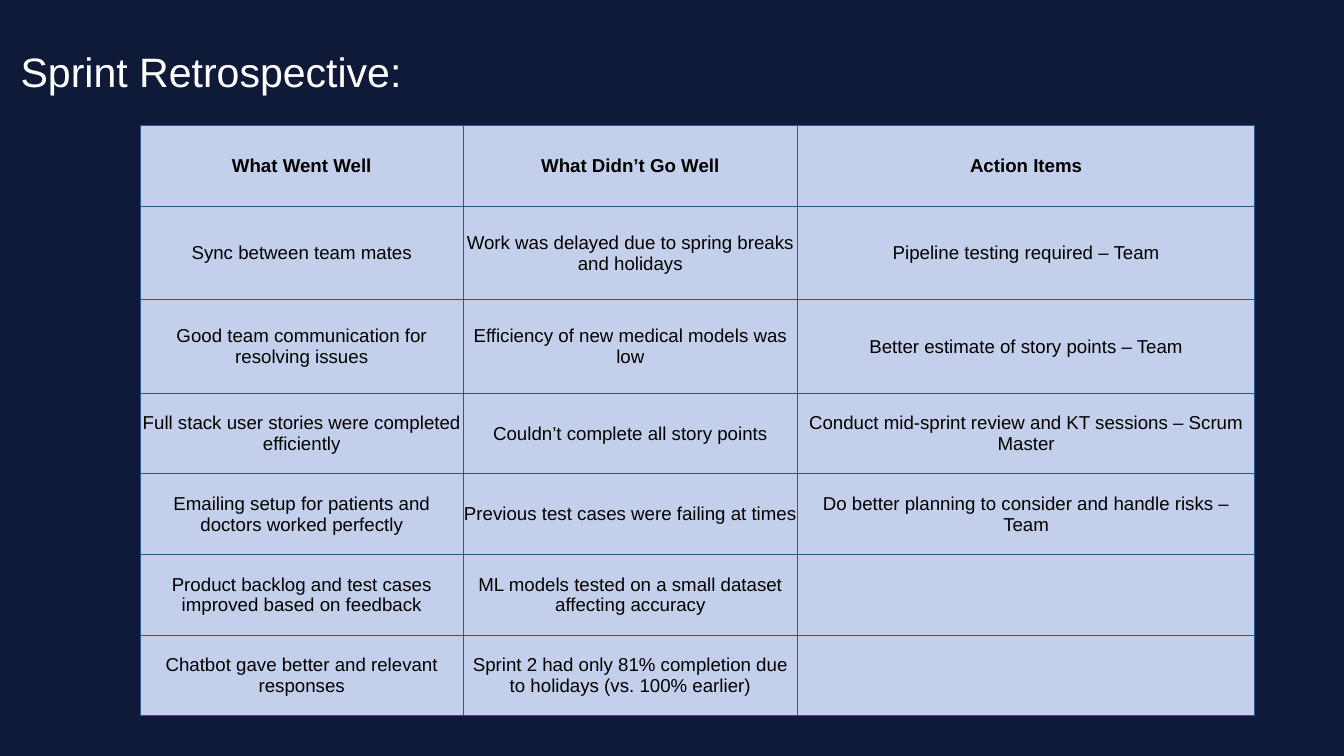
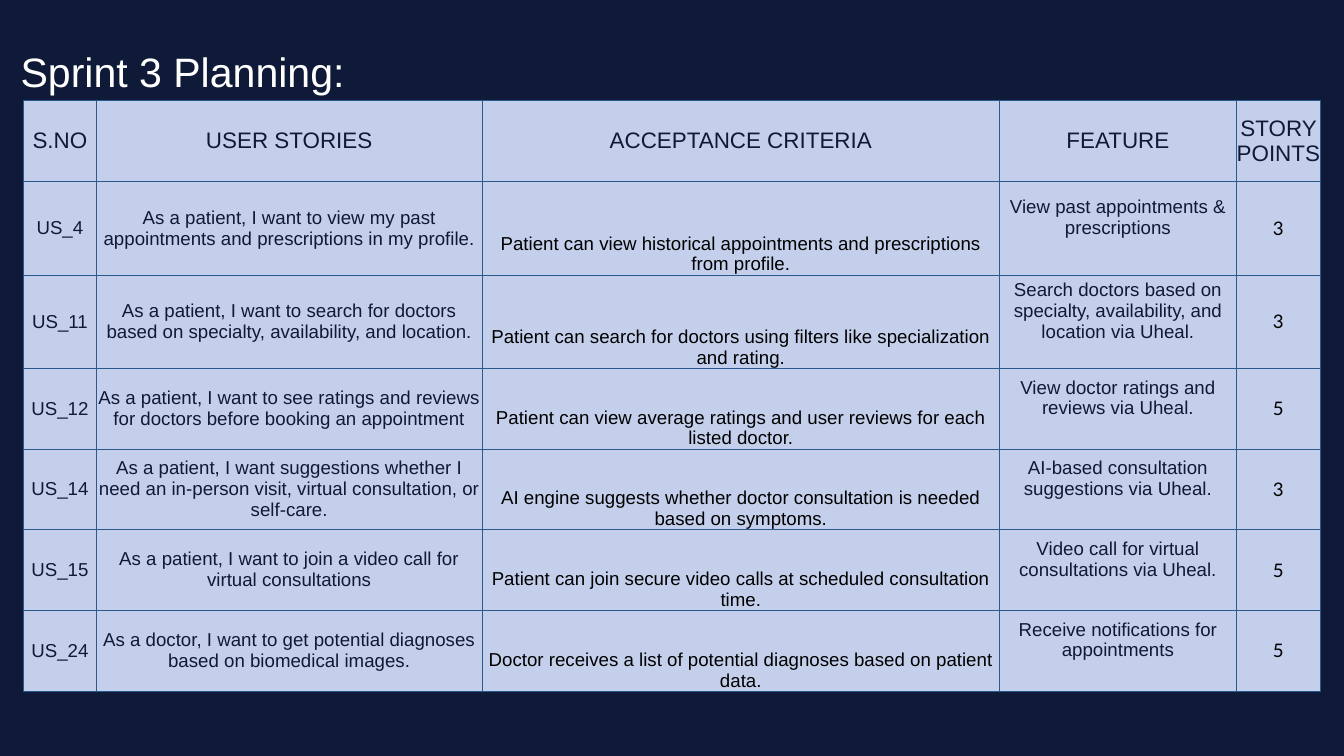
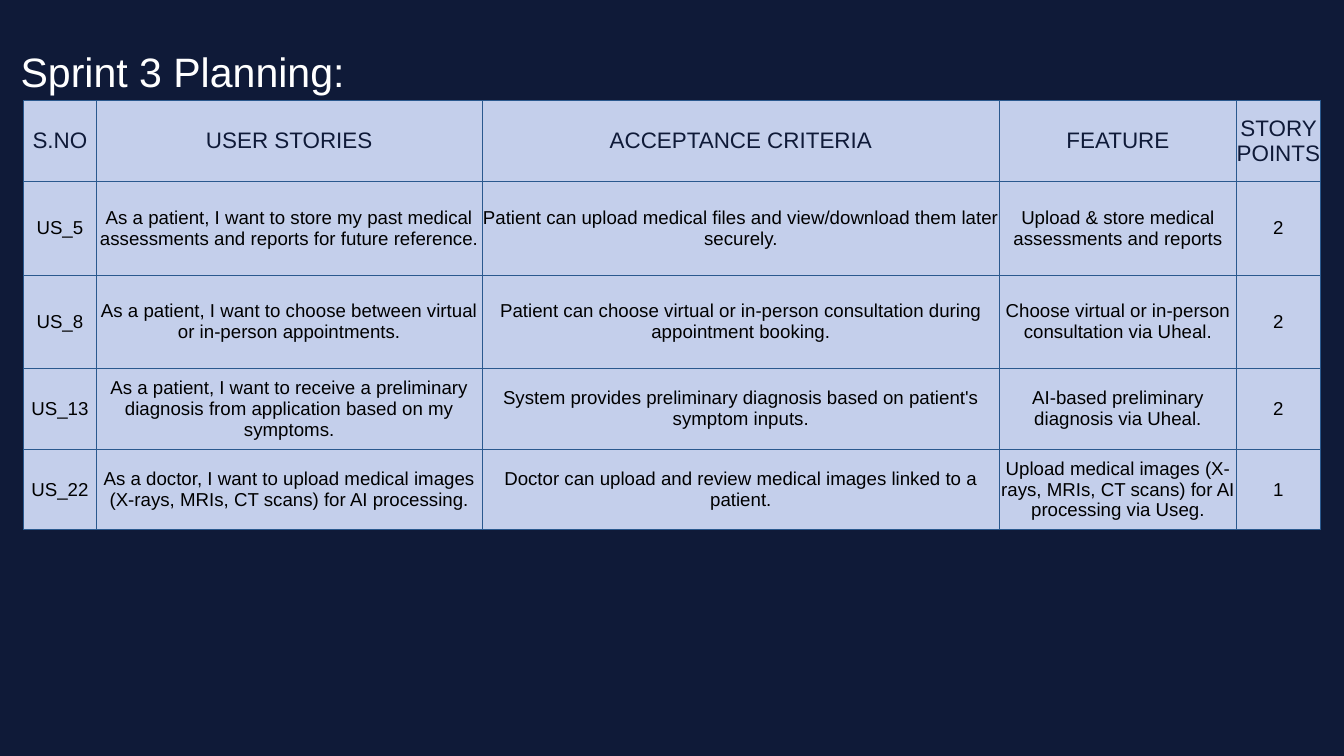
from lxml import etree
from pptx import Presentation
from pptx.dml.color import RGBColor
from pptx.enum.text import MSO_ANCHOR as Anchor, PP_ALIGN as Align
from pptx.oxml.ns import qn
from pptx.util import Cm, Pt

COLORS = {
    "background": "0F1A38",
    "title": "FFFFFF",
    "cell": "C4CFEB",
    "border": "2A598E",
    "navy": "0F1A38",
    "black": "000000",
}
FONT = "Arial"
HEADER_HEIGHT, TALL_ROW, SHORT_ROW = 3.05, 3.53, 3.05
BORDER_SIDES = ("a:lnL", "a:lnR", "a:lnT", "a:lnB")
FEATURE_BOTTOM_MARGIN = 0.8


def add_run(paragraph, text, size, color, bold=False, font=FONT):
    run = paragraph.add_run()
    run.text = text
    run.font.name = font
    run.font.size = Pt(size)
    run.font.bold = bold
    run.font.color.rgb = RGBColor.from_string(COLORS[color])


def style_cell(cell, margin):
    cell.margin_left = cell.margin_right = cell.margin_top = Cm(margin)
    cell.margin_bottom = Cm(0)
    cell.vertical_anchor = Anchor.MIDDLE
    properties = cell._tc.get_or_add_tcPr()
    for side in BORDER_SIDES:
        line = etree.SubElement(properties, qn(side), w=str(Pt(0.75)))
        fill = etree.SubElement(line, qn("a:solidFill"))
        etree.SubElement(fill, qn("a:srgbClr"), val=COLORS["border"])
    cell.fill.solid()
    cell.fill.fore_color.rgb = RGBColor.from_string(COLORS["cell"])


retrospective = {
    "title": "Sprint Retrospective:",
    "left": 5.31,
    "top": 4.75,
    "widths": [12.19, 12.65, 17.27],
    "header": ["What Went Well", "What Didn’t Go Well", "Action Items"],
    "header_style": {"size": 20, "color": "black", "bold": True},
    "header_margin": 0.02,
    "body_margin": 0.02,
    "body_colors": ["black"] * 3,
    "rows": [
        ["Sync between team mates",
         "Work was delayed due to spring breaks and holidays",
         "Pipeline testing required – Team"],
        ["Good team communication for resolving issues",
         "Efficiency of new medical models was low",
         "Better estimate of story points – Team"],
        ["Full stack user stories were completed efficiently",
         "Couldn’t complete all story points",
         "Conduct mid-sprint review and KT sessions – Scrum Master"],
        ["Emailing setup for patients and doctors worked perfectly",
         "Previous test cases were failing at times",
         "Do better planning to consider and handle risks – Team"],
        ["Product backlog and test cases improved based on feedback",
         "ML models tested on a small dataset affecting accuracy",
         ""],
        ["Chatbot gave better and relevant responses",
         "Sprint 2 had only 81% completion due to holidays (vs. 100% earlier)",
         ""],
    ],
}

planning = {
    "title": "Sprint 3 Planning:",
    "left": 0.89,
    "top": 3.81,
    "widths": [2.75, 14.58, 19.56, 8.95, 3.18],
    "header": ["S.NO", "USER STORIES", "ACCEPTANCE CRITERIA", "FEATURE", "STORY POINTS"],
    "header_style": {"size": 24, "color": "navy"},
    "header_margin": 0,
}

planning_first = {
    **planning,
    "body_margin": 0,
    "body_colors": ["navy", "navy", "black", "navy", "black"],
    "bottom_column": 2,
    "raised_column": 3,
    "lato_column": 4,
    "rows": [
        ["US_4",
         "As a patient, I want to view my past appointments and prescriptions in my profile.",
         "Patient can view historical appointments and prescriptions from profile.",
         "View past appointments & prescriptions", "3"],
        ["US_11",
         "As a patient, I want to search for doctors based on specialty, availability, and location.",
         "Patient can search for doctors using filters like specialization and rating.",
         "Search doctors based on specialty, availability, and location via Uheal.", "3"],
        ["US_12",
         "As a patient, I want to see ratings and reviews for doctors before booking an appointment",
         "Patient can view average ratings and user reviews for each listed doctor.",
         "View doctor ratings and reviews via Uheal.", "5"],
        ["US_14",
         "As a patient, I want suggestions whether I need an in-person visit, "
         "virtual consultation, or self-care.",
         "AI engine suggests whether doctor consultation is needed based on symptoms.",
         "AI-based consultation suggestions via Uheal.", "3"],
        ["US_15",
         "As a patient, I want to join a video call for virtual consultations",
         "Patient can join secure video calls at scheduled consultation time.",
         "Video call for virtual consultations via Uheal.", "5"],
        ["US_24",
         "As a doctor, I want to get potential diagnoses based on biomedical images.",
         "Doctor receives a list of potential diagnoses based on patient data.",
         "Receive notifications for appointments", "5"],
    ],
}

planning_second = {
    **planning,
    "body_margin": 0.02,
    "body_colors": ["black"] * 5,
    "rows": [
        ["US_5",
         "As a patient, I want to store my past medical assessments and reports for future reference.",
         "Patient can upload medical files and view/download them later securely.",
         "Upload & store medical assessments and reports", "2"],
        ["US_8",
         "As a patient, I want to choose between virtual or in-person appointments.",
         "Patient can choose virtual or in-person consultation during appointment booking.",
         "Choose virtual or in-person consultation via Uheal.", "2"],
        ["US_13",
         "As a patient, I want to receive a preliminary diagnosis from application "
         "based on my symptoms.",
         "System provides preliminary diagnosis based on patient's symptom inputs.",
         "AI-based preliminary diagnosis via Uheal.", "2"],
        ["US_22",
         "As a doctor, I want to upload medical images (X-rays, MRIs, CT scans) for AI processing.",
         "Doctor can upload and review medical images linked to a patient.",
         "Upload medical images (X-rays, MRIs, CT scans) for AI processing via Useg.", "1"],
    ],
}

presentation = Presentation()
presentation.slide_width = Cm(50.8)
presentation.slide_height = Cm(28.58)

for content in (retrospective, planning_first, planning_second):
    slide = presentation.slides.add_slide(presentation.slide_layouts[6])
    slide.background.fill.solid()
    slide.background.fill.fore_color.rgb = RGBColor.from_string(COLORS["background"])

    title_frame = slide.shapes.add_textbox(Cm(0.53), Cm(0.66), Cm(33.32), Cm(4.09)).text_frame
    title_frame.word_wrap = True
    title_frame.vertical_anchor = Anchor.MIDDLE
    add_run(title_frame.paragraphs[0], content["title"], 44, "title")

    rows = [content["header"]] + content["rows"]
    widths = content["widths"]
    heights = [HEADER_HEIGHT, TALL_ROW, TALL_ROW] + [SHORT_ROW] * (len(rows) - 3)
    table = slide.shapes.add_table(
        len(rows), len(widths), Cm(content["left"]), Cm(content["top"]),
        Cm(sum(widths)), Cm(sum(heights))).table
    table.first_row = False
    table.horz_banding = False
    for column, width in zip(table.columns, widths):
        column.width = Cm(width)
    for row, height in zip(table.rows, heights):
        row.height = Cm(height)

    for row_index, texts in enumerate(rows):
        is_header = row_index == 0
        for column_index, text in enumerate(texts):
            cell = table.cell(row_index, column_index)
            style_cell(cell, content["header_margin" if is_header else "body_margin"])
            paragraph = cell.text_frame.paragraphs[0]
            paragraph.alignment = Align.CENTER
            if is_header:
                add_run(paragraph, text, **content["header_style"])
                continue
            if column_index == content.get("bottom_column"):
                cell.vertical_anchor = Anchor.BOTTOM
            if column_index == content.get("raised_column"):
                cell.margin_bottom = Cm(FEATURE_BOTTOM_MARGIN)
            if text:
                font = "Lato" if column_index == content.get("lato_column") else FONT
                add_run(paragraph, text, 20, content["body_colors"][column_index], font=font)

presentation.save("out.pptx")
